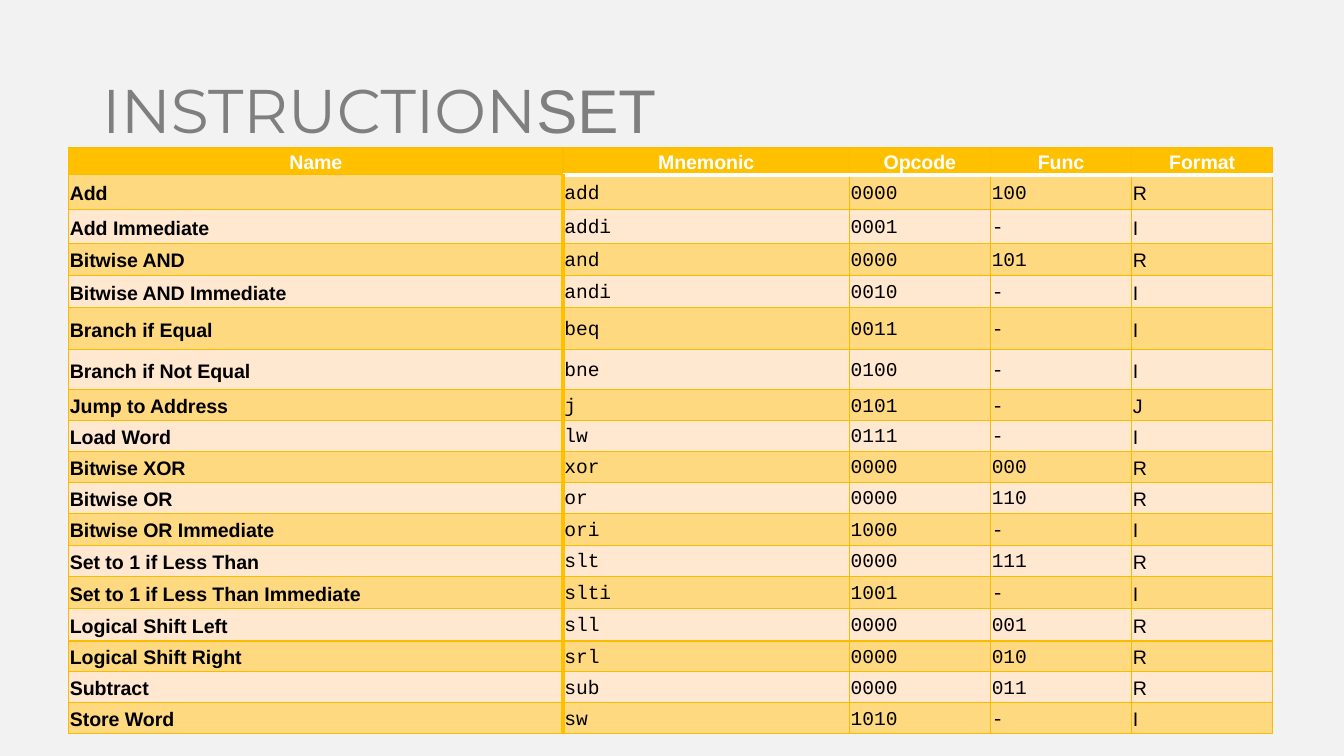
from lxml import etree
from pptx import Presentation
from pptx import util as u
from pptx.dml.color import RGBColor
from pptx.enum import text
from pptx.oxml.ns import qn

PAPER = RGBColor(0xF2, 0xF2, 0xF2)
GREY = RGBColor(0x7F, 0x7F, 0x7F)
WHITE = RGBColor(0xFF, 0xFF, 0xFF)
BLACK = RGBColor(0x00, 0x00, 0x00)
GOLD = RGBColor(0xFF, 0xC0, 0x00)
AMBER = RGBColor(0xF9, 0xBC, 0x00)
SAND = RGBColor(0xFF, 0xD9, 0x7F)
CREAM = RGBColor(0xFF, 0xE8, 0xCF)

WIDTHS = [3.68, 2.13, 1.05, 1.05, 1.05]
HEIGHTS = [0.18, 0.26, 0.25, 0.24, 0.24, 0.31, 0.3] + [0.23] * 4 + [0.24, 0.23, 0.24, 0.24] + [0.23] * 3
ROWS = [
    ("Name", "Mnemonic", "Opcode", "Func", "Format"),
    ("Add", "add", "0000", "100", "R"),
    ("Add Immediate", "addi", "0001", "-", "I"),
    ("Bitwise AND", "and", "0000", "101", "R"),
    ("Bitwise AND Immediate", "andi", "0010", "-", "I"),
    ("Branch if Equal", "beq", "0011", "-", "I"),
    ("Branch if Not Equal", "bne", "0100", "-", "I"),
    ("Jump to Address", "j", "0101", "-", "J"),
    ("Load Word", "lw", "0111", "-", "I"),
    ("Bitwise XOR", "xor", "0000", "000", "R"),
    ("Bitwise OR", "or", "0000", "110", "R"),
    ("Bitwise OR Immediate", "ori", "1000", "-", "I"),
    ("Set to 1 if Less Than", "slt", "0000", "111", "R"),
    ("Set to 1 if Less Than Immediate", "slti", "1001", "-", "I"),
    ("Logical Shift Left", "sll", "0000", "001", "R"),
    ("Logical Shift Right", "srl", "0000", "010", "R"),
    ("Subtract", "sub", "0000", "011", "R"),
    ("Store Word", "sw", "1010", "-", "I"),
]


def style(item, values):
    for key, value in values.items():
        setattr(item, key, value)


def edge(cell, side, color, width):
    line = etree.SubElement(cell._tc.get_or_add_tcPr(), qn("a:ln" + side), w=str(u.Pt(width)))
    fill = etree.SubElement(line, qn("a:solidFill"))
    etree.SubElement(fill, qn("a:srgbClr"), val=str(color))


deck = Presentation()
style(deck, {"slide_width": u.Inches(10), "slide_height": u.Inches(10 * 9 / 16)})
slide = deck.slides.add_slide(deck.slide_layouts[6])
slide.background.fill.solid()
slide.background.fill.fore_color.rgb = PAPER

title = slide.shapes.add_textbox(u.Inches(0.69), u.Inches(0.3), u.Inches(8.62), u.Inches(1.09))
frame = title.text_frame
style(frame, {
    "word_wrap": True, "vertical_anchor": text.MSO_ANCHOR.MIDDLE,
    "margin_left": u.Inches(0.07), "margin_right": u.Inches(0.07),
    "margin_top": u.Inches(0.04), "margin_bottom": u.Inches(0.04),
})
para = frame.paragraphs[0]
para.line_spacing = 0.9
for word, face in [("INSTRUCTION", "Montserrat"), ("SET", "Arial")]:
    run = para.add_run()
    run.text = word
    style(run.font, {"name": face, "size": u.Pt(33)})
    run.font.color.rgb = GREY

grid = slide.shapes.add_table(len(ROWS), len(WIDTHS), u.Inches(0.51), u.Inches(1.1),
                              u.Inches(sum(WIDTHS)), u.Inches(sum(HEIGHTS))).table
for col, width in zip(grid.columns, WIDTHS):
    col.width = u.Inches(width)
for row, height in zip(grid.rows, HEIGHTS):
    row.height = u.Inches(height)

for r, row in enumerate(ROWS):
    for c, word in enumerate(row):
        cell = grid.cell(r, c)
        style(cell, {
            "vertical_anchor": text.MSO_ANCHOR.MIDDLE,
            "margin_left": u.Inches(0.01), "margin_right": u.Inches(0.01),
            "margin_top": 0, "margin_bottom": 0,
        })
        lines = {side: (AMBER, 0.75) for side in "LRTB"}
        if r and c < 2:
            lines["R" if c == 0 else "L"] = (GOLD, 2)
        if r < 2 and c:
            lines["B" if r == 0 else "T"] = (WHITE, 2)
        for side, (color, width) in lines.items():
            edge(cell, side, color, width)
        cell.fill.solid()
        cell.fill.fore_color.rgb = GOLD if r == 0 else SAND if r % 2 else CREAM

        para = cell.text_frame.paragraphs[0]
        if r == 0:
            align = text.PP_ALIGN.CENTER
        else:
            align = text.PP_ALIGN.JUSTIFY if c else text.PP_ALIGN.LEFT
        style(para, {"alignment": align, "line_spacing": 1.15,
                     "space_before": u.Pt(6), "space_after": u.Pt(6)})
        run = para.add_run()
        run.text = word
        style(run.font, {
            "name": "Courier New" if r and c in (1, 2, 3) else "Arial",
            "size": u.Pt(10.5), "bold": r == 0 or c == 0,
        })
        run.font.color.rgb = BLACK if r else WHITE

deck.save("out.pptx")
